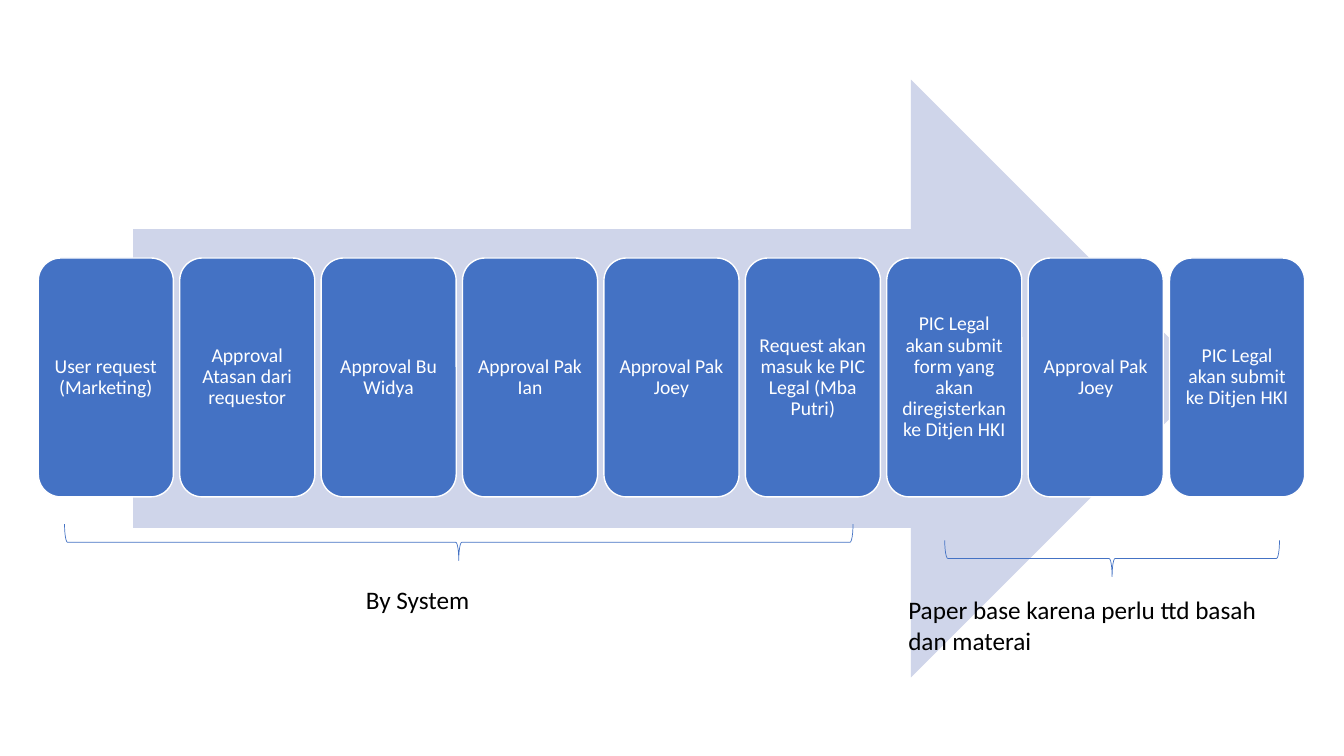
import pptx
import pptx.util
import pptx.dml.color
import pptx.enum.shapes
import pptx.enum.text

Inches = pptx.util.Inches
Pt = pptx.util.Pt
Shape = pptx.enum.shapes.MSO_SHAPE
Align = pptx.enum.text.PP_ALIGN
Anchor = pptx.enum.text.MSO_ANCHOR

BLUE, PALE, WHITE, BLACK = "4472C4", "CFD5EA", "FFFFFF", "000000"


def color(value):
    return pptx.dml.color.RGBColor.from_string(value)


class Painter:
    font = "Calibri"

    def __init__(self, page):
        self.page = page

    def shape(self, kind, left, top, width, height, fill=None, line=None, weight=1):
        box = self.page.shapes.add_shape(
            kind, Inches(left), Inches(top), Inches(width), Inches(height))
        box.shadow.inherit = False
        if fill:
            box.fill.solid()
            box.fill.fore_color.rgb = color(fill)
        else:
            box.fill.background()
        if line:
            box.line.color.rgb = color(line)
            box.line.width = Pt(weight)
        else:
            box.line.fill.background()
        return box

    def add_text(self, box, text, size, ink):
        para = box.text_frame.paragraphs[0]
        span = para.add_run()
        span.text = text
        span.font.name = self.font
        span.font.size = Pt(size)
        span.font.color.rgb = color(ink)
        return para

    def step(self, text, left, top, width, height):
        box = self.shape(Shape.ROUNDED_RECTANGLE, left, top, width, height, BLUE, WHITE)
        frame = box.text_frame
        frame.word_wrap = True
        frame.vertical_anchor = Anchor.MIDDLE
        frame.margin_left = frame.margin_right = Inches(0.06)
        frame.margin_top = frame.margin_bottom = Inches(0.06)
        para = self.add_text(box, text, 14, WHITE)
        para.alignment = Align.CENTER
        para.line_spacing = 0.9

    def brace_below(self, left, top, span_width, depth):
        # A left brace turned on its side, so it is placed around its centre
        middle_x, middle_y = left + span_width / 2, top + depth / 2
        brace = self.shape(Shape.LEFT_BRACE, middle_x - depth / 2,
                           middle_y - span_width / 2, depth, span_width,
                           line=BLUE, weight=0.5)
        brace.rotation = 270

    def label(self, text, left, top, width, height, wrap=True):
        box = self.page.shapes.add_textbox(
            Inches(left), Inches(top), Inches(width), Inches(height))
        box.text_frame.word_wrap = wrap
        box.text_frame.auto_size = pptx.enum.text.MSO_AUTO_SIZE.SHAPE_TO_FIT_TEXT
        self.add_text(box, text, 18, BLACK)


deck = pptx.Presentation()
deck.slide_width = Inches(13.33)
deck.slide_height = Inches(7.5)
painter = Painter(deck.slides.add_slide(deck.slide_layouts[6]))

# Background arrow
painter.shape(Shape.RIGHT_ARROW, 1.32, 0.79, 10.68, 5.93, PALE)

# Process steps, evenly spread from the first to the last
steps = [
    "User request (Marketing)",
    "Approval Atasan dari requestor",
    "Approval Bu Widya",
    "Approval Pak Ian",
    "Approval Pak Joey",
    "Request akan masuk ke PIC Legal (Mba Putri)",
    "PIC Legal akan submit form yang akan diregisterkan ke Ditjen HKI",
    "Approval Pak Joey",
    "PIC Legal akan submit ke Ditjen HKI",
]
first_left, last_left = 0.38, 11.6
pitch = (last_left - first_left) / (len(steps) - 1)
for index, text in enumerate(steps):
    painter.step(text, first_left + index * pitch, 2.56, 1.34, 2.37)

# Braces and what they stand for
painter.brace_below(0.64, 5.2, 7.82, 0.36)
painter.brace_below(9.37, 5.36, 3.32, 0.36)
painter.label("By System", 3.53, 5.75, 1.24, 0.4, wrap=False)
painter.label("Paper base karena perlu ttd basah dan materai", 8.91, 5.85, 4.05, 0.71)

deck.save("out.pptx")
